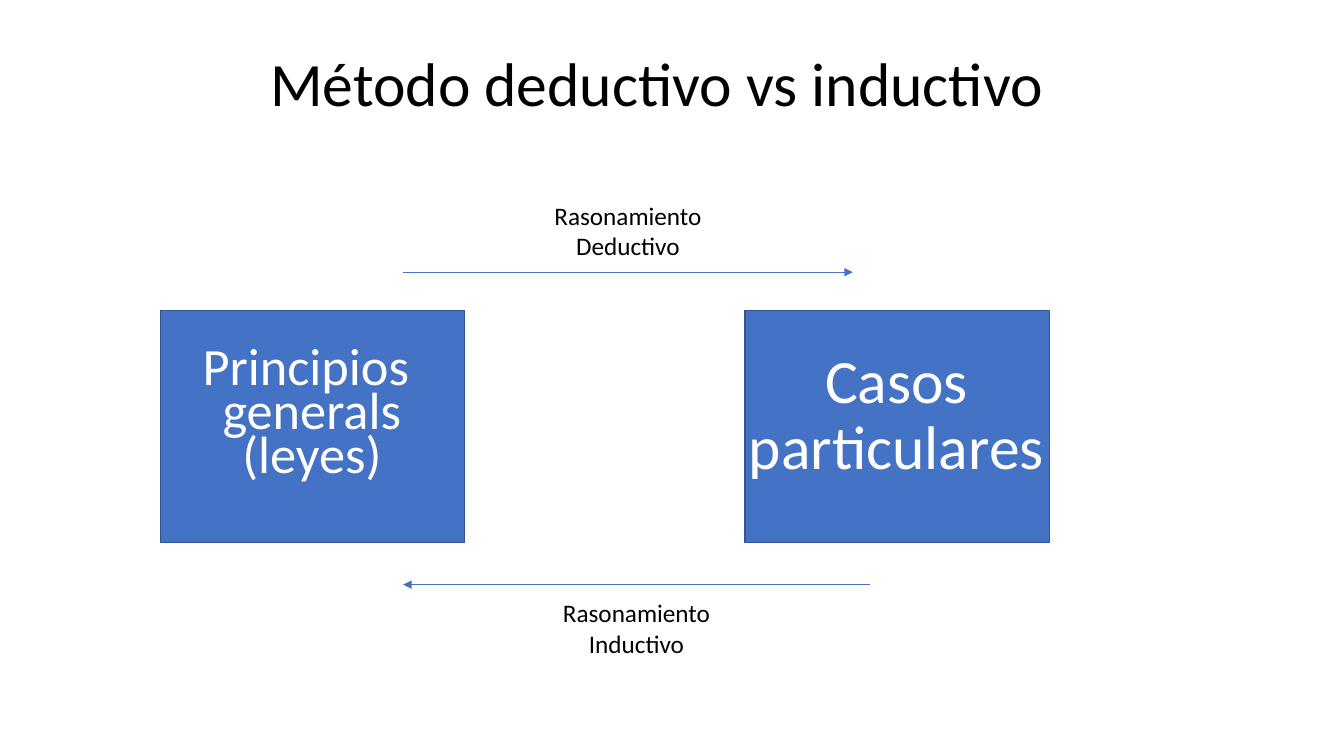
from lxml.etree import SubElement
from pptx import Presentation
from pptx.dml.color import RGBColor
from pptx.enum.shapes import MSO_CONNECTOR as Link, MSO_SHAPE as Shape
from pptx.enum.text import MSO_ANCHOR as Anchor, MSO_AUTO_SIZE as Fit, PP_ALIGN as Align
from pptx.oxml.ns import qn
from pptx.util import Inches, Pt

WIDE, HIGH = Inches(13.33), Inches(7.5)
BLUE, EDGE, BLACK, WHITE = "4472C4", "325491", "000000", "FFFFFF"
CARD_TOP, CARD_W, CARD_H = 41.07, 22.65, 30.67
LABEL_W, LABEL_H = 12.6, 9.47


def hue(code):
    return RGBColor.from_string(code)


def place(*box):
    """Turn percent shares of the slide (x, y, x, y) into lengths."""
    return [int(part * side / 100) for part, side in zip(box, (WIDE, HIGH) * 2)]


def write(shape, lines, size, color=BLACK, lead=None, anchor=Anchor.MIDDLE,
          wrap=True, fit=Fit.NONE):
    frame = shape.text_frame
    frame.word_wrap, frame.auto_size = wrap, fit
    frame.vertical_anchor = anchor
    for i, line in enumerate(lines):
        para = frame.add_paragraph() if i else frame.paragraphs[0]
        para.text = line
        para.alignment = Align.CENTER
        if lead:
            para.line_spacing = lead
        for run in para.runs:
            run.font.name, run.font.size = "Calibri", Pt(size)
            run.font.color.rgb = hue(color)


def head(slide, text, box):
    title = slide.shapes.title
    title.left, title.top, title.width, title.height = place(*box)
    write(title, [text], 44, lead=0.9)


def card(slide, left, lines, size, lead):
    rect = slide.shapes.add_shape(
        Shape.RECTANGLE, *place(left, CARD_TOP, CARD_W, CARD_H))
    rect.shadow.inherit = False
    rect.fill.solid()
    rect.fill.fore_color.rgb = hue(BLUE)
    rect.line.color.rgb = hue(EDGE)
    rect.line.width = Pt(1)
    text = slide.shapes.add_textbox(
        *place(left - 2.92, CARD_TOP + 4.4, CARD_W + 5.77, 19.33))
    write(text, lines, size, color=WHITE, lead=lead)


def arrow(slide, start, end, y, lines, shift):
    """Draw an arrow with its label centred on it, shifted down by shift."""
    link = slide.shapes.add_connector(Link.STRAIGHT, *place(start, y, end, y))
    link.line.color.rgb = hue(BLUE)
    link.line.width = Pt(0.5)
    SubElement(link.line._get_or_add_ln(), qn("a:tailEnd"), type="triangle")
    SubElement(link._element.spPr, qn("a:effectLst"))
    left = (start + end - LABEL_W) / 2
    label = slide.shapes.add_textbox(*place(left, y + shift, LABEL_W, LABEL_H))
    write(label, lines, 18, anchor=Anchor.TOP, wrap=False, fit=Fit.SHAPE_TO_FIT_TEXT)


def main():
    deck = Presentation()
    deck.slide_width, deck.slide_height = WIDE, HIGH
    slide = deck.slides.add_slide(deck.slide_layouts[5])
    head(slide, "Método deductivo vs inductivo", (5.77, 1.73, 86.25, 19.33))
    card(slide, 11.92, ["Principios \ngenerals", "(leyes)"], 37.4, 0.7)
    card(slide, 55.42, ["Casos", "particulares"], 44, 0.9)
    arrow(slide, 64.72, 30, 77.33, ["Rasonamiento", "Inductivo"], 1.07)
    arrow(slide, 30, 63.45, 36, ["Rasonamiento", "Deductivo"], -10.13)
    deck.save("out.pptx")


if __name__ == "__main__":
    main()
